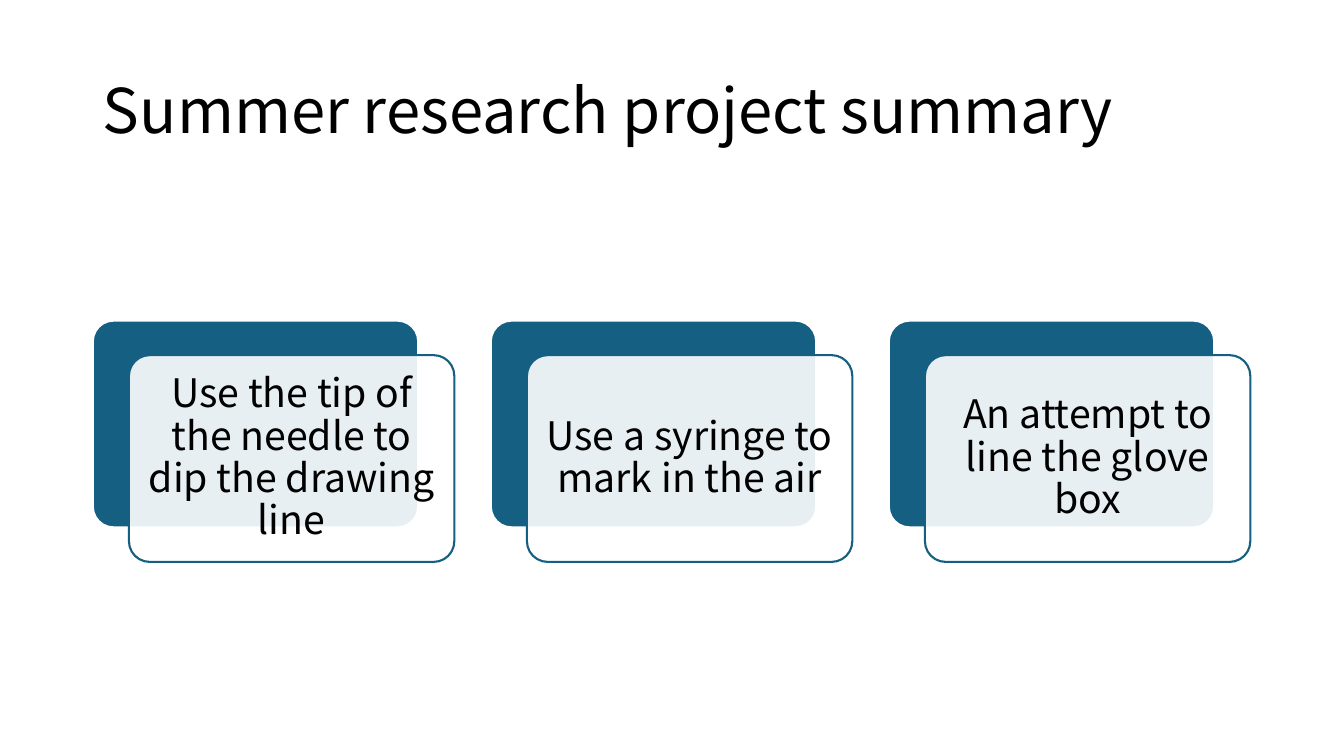
from dataclasses import dataclass

from lxml import etree
from pptx import Presentation
from pptx.dml.color import RGBColor
from pptx.enum.shapes import MSO_SHAPE
from pptx.enum.text import MSO_ANCHOR, MSO_AUTO_SIZE, PP_ALIGN
from pptx.oxml.ns import qn
from pptx.util import Cm, Pt

ROUNDED = MSO_SHAPE.ROUNDED_RECTANGLE
MIDDLE = MSO_ANCHOR.MIDDLE
NO_AUTOFIT = MSO_AUTO_SIZE.NONE
LEFT, CENTER = PP_ALIGN.LEFT, PP_ALIGN.CENTER
TITLE_ONLY = 5


@dataclass(frozen=True)
class Theme:
    font: str = "Noto Sans CJK SC"
    text: RGBColor = RGBColor(0x00, 0x00, 0x00)
    accent: RGBColor = RGBColor(0x15, 0x60, 0x82)
    paper: RGBColor = RGBColor(0xFF, 0xFF, 0xFF)
    title_size: Pt = Pt(44)
    card_size: Pt = Pt(28)
    outline: Pt = Pt(1.5)
    card_opacity: int = 90


THEME = Theme()

STEPS = [
    "Use the tip of the needle to dip the drawing line",
    "Use a syringe to mark in the air",
    "An attempt to line the glove box",
]

# Card grid
MARGIN, CARD_TOP = Cm(2.34), Cm(8.08)
CARD_WIDTH, CARD_HEIGHT = Cm(8.2), Cm(5.21)
CARD_PITCH = Cm(10.03)
SHIFT_X, SHIFT_Y = Cm(0.91), Cm(0.87)
CARD_INSET = Cm(0.3)


def write_text(shape, text, size, alignment):
    frame = shape.text_frame
    frame.word_wrap = True
    frame.auto_size = NO_AUTOFIT
    frame.vertical_anchor = MIDDLE
    frame.text = text
    paragraph = frame.paragraphs[0]
    paragraph.alignment = alignment
    paragraph.line_spacing = 0.9
    paragraph.font.name = THEME.font
    paragraph.font.size = size
    paragraph.font.color.rgb = THEME.text


def add_title(slide, text):
    title = slide.shapes.title
    title.left, title.top = MARGIN, Cm(1.01)
    title.width, title.height = Cm(29.21), Cm(3.68)
    write_text(title, text, THEME.title_size, LEFT)


def add_panel(slide, left, top, fill, line):
    panel = slide.shapes.add_shape(ROUNDED, left, top, CARD_WIDTH, CARD_HEIGHT)
    panel.adjustments[0] = 0.1
    panel.shadow.inherit = False
    panel.fill.solid()
    panel.fill.fore_color.rgb = fill
    panel.line.color.rgb = line
    panel.line.width = THEME.outline
    return panel


def set_opacity(shape, percent):
    color = shape.fill._xPr.find(qn("a:solidFill"))[0]
    etree.SubElement(color, qn("a:alpha"), val=str(percent * 1000))


def add_step_card(slide, left, text):
    # Solid panel behind, translucent text card in front
    add_panel(slide, left, CARD_TOP, THEME.accent, THEME.paper)
    card = add_panel(slide, left + SHIFT_X, CARD_TOP + SHIFT_Y,
                     THEME.paper, THEME.accent)
    set_opacity(card, THEME.card_opacity)
    frame = card.text_frame
    frame.margin_left = frame.margin_right = CARD_INSET
    frame.margin_top = frame.margin_bottom = CARD_INSET
    write_text(card, text, THEME.card_size, CENTER)


def main():
    presentation = Presentation()
    presentation.slide_width = Cm(33.87)
    presentation.slide_height = Cm(19.05)
    slide = presentation.slides.add_slide(presentation.slide_layouts[TITLE_ONLY])

    add_title(slide, "Summer research project summary")
    for index, step in enumerate(STEPS):
        add_step_card(slide, MARGIN + index * CARD_PITCH, step)

    presentation.save("out.pptx")


if __name__ == "__main__":
    main()
